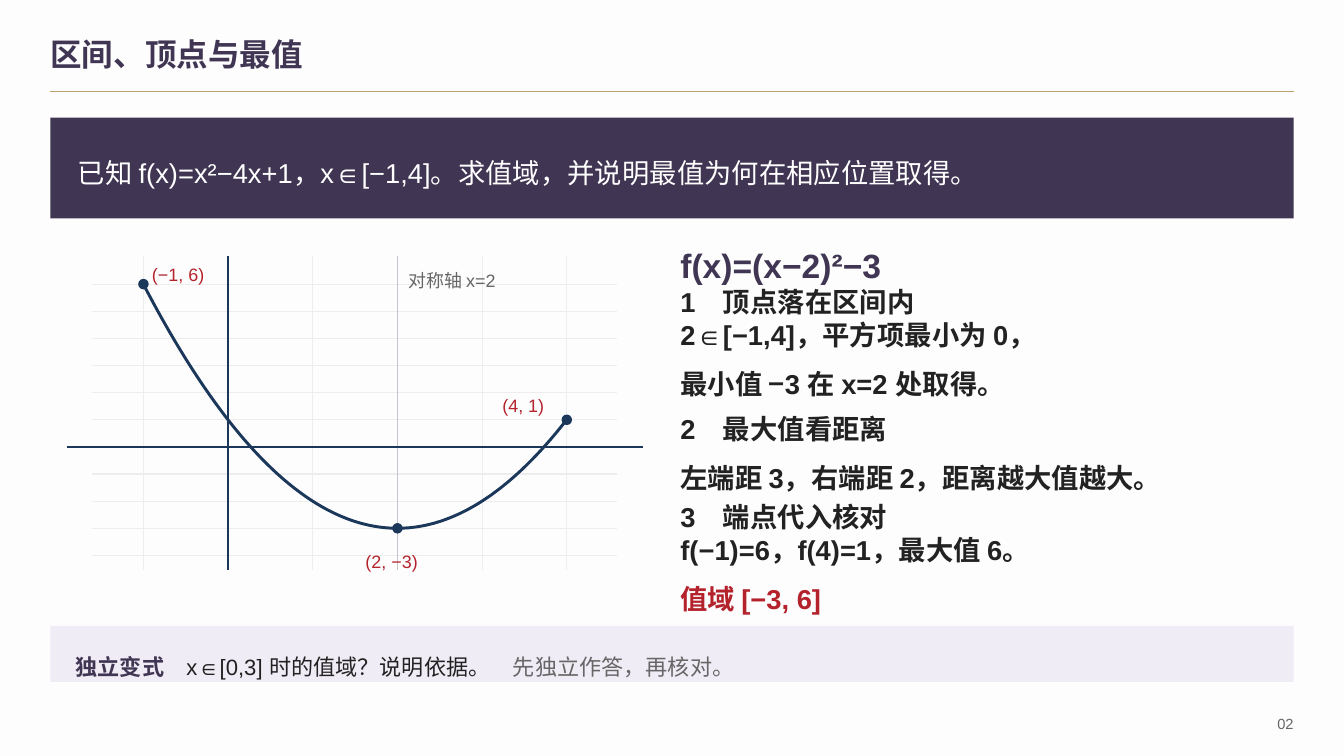
"""Build a slide on the range of a quadratic function over a closed interval."""
import pptx
import pptx.dml.color
import pptx.enum.shapes
import pptx.enum.text
import pptx.oxml
import pptx.oxml.ns
import pptx.util

COLUMNS, ROWS = 160, 90
CELL = pptx.util.Inches(1) / 12
ORIGIN_COLUMN, ORIGIN_ROW = 27.15, 53.2
UNIT_COLUMNS, UNIT_ROWS = 10.08, 3.23
GRID_TOP, GRID_BOTTOM = 30.5, 67.9
MARGIN, CONTENT_WIDTH, NOTES_COLUMN = 6, 148, 81
PLUM, NAVY, RED, INK, GREY = "403653", "1B385B", "B4232C", "222222", "666666"
SHAPES = pptx.enum.shapes.MSO_SHAPE
TOP = pptx.enum.text.MSO_ANCHOR.TOP
MIDDLE = pptx.enum.text.MSO_ANCHOR.MIDDLE
LEFT = pptx.enum.text.PP_ALIGN.LEFT
RIGHT = pptx.enum.text.PP_ALIGN.RIGHT


def color(value):
    """Turn a hex string into a colour."""
    return pptx.dml.color.RGBColor.from_string(value)


def cells(*counts):
    """Turn grid counts into lengths."""
    return [pptx.util.Emu(round(count * CELL)) for count in counts]


def plot(x, y):
    """Give the column and row of a point of the graph."""
    return ORIGIN_COLUMN + x * UNIT_COLUMNS, ORIGIN_ROW - y * UNIT_ROWS


def parabola(x):
    """Evaluate the function under study."""
    return x * x - 4 * x + 1


def apply(target, formats):
    """Set each named attribute on the target."""
    for name, value in formats.items():
        setattr(target, name, value)


def write(box, lines, size, anchor=TOP, align=LEFT, inset=0):
    """Fill a box with lines, each a line spacing and its (text, colour, bold) spans."""
    side = cells(inset)[0]
    apply(box.text_frame, {
        "word_wrap": True, "vertical_anchor": anchor,
        "margin_left": side, "margin_right": side, "margin_top": 0, "margin_bottom": 0,
    })
    for index, (spacing, spans) in enumerate(lines):
        para = box.text_frame.add_paragraph() if index else box.text_frame.paragraphs[0]
        apply(para, {"alignment": align, "line_spacing": spacing})
        for text, tint, bold in spans:
            span = para.add_run()
            span.text = text
            apply(span.font, {"name": "Arial", "size": pptx.util.Pt(size), "bold": bold})
            span.font.color.rgb = color(tint)


def add_text(page, place, lines, size, **layout):
    """Add a text box that grows with its lines."""
    box = page.shapes.add_textbox(*cells(*place))
    write(box, lines, size, **layout)
    box.text_frame.auto_size = pptx.enum.text.MSO_AUTO_SIZE.SHAPE_TO_FIT_TEXT


def add_block(page, kind, place, tint):
    """Add a plain filled shape."""
    block = page.shapes.add_shape(kind, *cells(*place))
    block.shadow.inherit = False
    block.fill.solid()
    block.fill.fore_color.rgb = color(tint)
    block.line.fill.background()
    return block


def add_line(page, start, end, tint, width=0.75):
    """Add a straight line between two grid points."""
    line = page.shapes.add_connector(
        pptx.enum.shapes.MSO_CONNECTOR.STRAIGHT, *cells(*start, *end))
    line.line.color.rgb = color(tint)
    line.line.width = pptx.util.Pt(width)
    properties = line._element.spPr
    properties.append(pptx.oxml.parse_xml(f"<a:effectLst {pptx.oxml.ns.nsdecls('a')}/>"))


def add_vertical(page, x, tint, width=0.75):
    """Add a full-height line of the graph at x."""
    column = plot(x, 0)[0]
    add_line(page, (column, GRID_TOP), (column, GRID_BOTTOM), tint, width)


def add_curve(page, first, last, steps):
    """Draw the function from first to last."""
    values = [first + (last - first) * step / steps for step in range(steps + 1)]
    points = [cells(*plot(x, parabola(x))) for x in values]
    builder = page.shapes.build_freeform(*points[0])
    builder.add_line_segments(points[1:], close=False)
    curve = builder.convert_to_shape()
    curve.shadow.inherit = False
    curve.fill.background()
    curve.line.color.rgb = color(NAVY)
    curve.line.width = pptx.util.Pt(2.1)


def add_graph(page):
    """Draw the grid, axes, curve and marked points."""
    for x in (-1, 1, 3, 4):
        add_vertical(page, x, "EDEDED")
    for y in range(-4, 7):
        row = plot(0, y)[1]
        add_line(page, (11, row), (73.5, row), "EDEDED")
    add_vertical(page, 2, "C9C2D0")
    add_line(page, (8, ORIGIN_ROW), (76.5, ORIGIN_ROW), NAVY, 1.1)
    add_vertical(page, 0, NAVY, 1)
    add_curve(page, -1, 4, 160)
    for x in (-1, 2, 4):
        column, row = plot(x, parabola(x))
        add_block(page, SHAPES.OVAL, (column - 0.62, row - 0.62, 1.25, 1.25), NAVY)
    labels = [
        ("(−1, 6)", 18.1, 30, 11.3, RED),
        ("(2, −3)", 43.5, 64.1, 11.3, RED),
        ("(4, 1)", 59.8, 45.6, 10, RED),
        ("对称轴 x=2", 48.6, 30.7, 15, GREY),
    ]
    for text, column, row, width, tint in labels:
        add_text(page, (column, row, width, 4.1), [(1.55, [(text, tint, False)])], 12.8)


def add_solution(page):
    """Write the vertex form and the three steps."""
    add_text(page, (NOTES_COLUMN, 28, 73, 5.8), [(1.25, [("f(x)=(x−2)²−3", PLUM, True)])], 24)
    steps = [
        (34, ["1　顶点落在区间内", "2∈[−1,4]，平方项最小为 0，", "最小值 −3 在 x=2 处取得。"]),
        (49.1, ["2　最大值看距离", "左端距 3，右端距 2，距离越大值越大。"]),
        (59.6, ["3　端点代入核对", "f(−1)=6，f(4)=1，最大值 6。", "值域 [−3, 6]"]),
    ]
    for row, texts in steps:
        lines = [
            (1.5 if text == texts[-1] else 1.0,
             [(text, RED if text.startswith("值域") else INK, True)])
            for text in texts
        ]
        add_text(page, (NOTES_COLUMN, row, 73, 10.5), lines, 19.5)


def main():
    """Build and save the slide."""
    deck = pptx.Presentation()
    deck.slide_width, deck.slide_height = cells(COLUMNS, ROWS)
    page = deck.slides.add_slide(deck.slide_layouts[6])
    page.background.fill.solid()
    page.background.fill.fore_color.rgb = color("FDFDFE")
    add_line(page, (MARGIN, 10.86), (MARGIN + CONTENT_WIDTH, 10.86), "BCA36D", 1)
    add_text(page, (MARGIN, 3.7, 126.2, 5.4),
             [(None, [("区间、顶点与最值", PLUM, True)])], 22.5, anchor=MIDDLE)
    problem = add_block(page, SHAPES.RECTANGLE, (MARGIN, 14, CONTENT_WIDTH, 12), PLUM)
    question = "已知 f(x)=x²−4x+1，x∈[−1,4]。求值域，并说明最值为何在相应位置取得。"
    write(problem, [(1.3, [(question, "FFFFFF", False)])], 19.5, anchor=MIDDLE, inset=3.25)
    add_graph(page)
    add_solution(page)
    add_block(page, SHAPES.RECTANGLE, (MARGIN, 74.5, CONTENT_WIDTH, 6.7), "F0ECF5")
    exercise = [
        ("独立变式", PLUM, True),
        ("　x∈[0,3] 时的值域？说明依据。", INK, False),
        ("　先独立作答，再核对。", GREY, False),
    ]
    add_text(page, (9, 76.2, 142, 4.7), [(1.5, exercise)], 15.8)
    add_text(page, (148.8, 84.6, 5.2, 3), [(None, [("02", GREY, False)])], 10.5,
             anchor=MIDDLE, align=RIGHT)
    deck.save("out.pptx")


if __name__ == "__main__":
    main()
